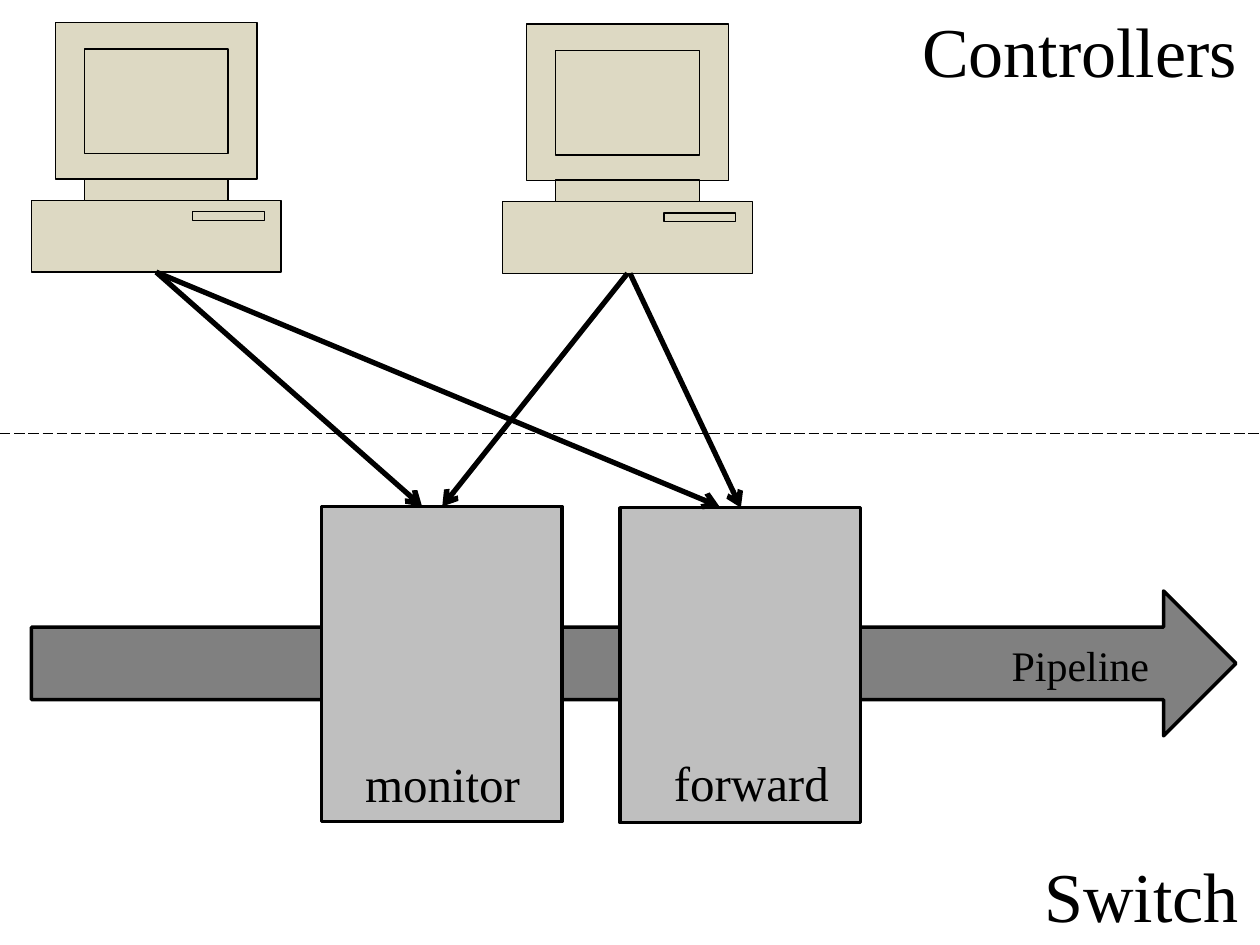
from dataclasses import dataclass
from lxml import etree
from pptx import Presentation
from pptx.dml.color import RGBColor
from pptx.enum.dml import MSO_LINE
from pptx.enum.shapes import MSO_CONNECTOR, MSO_SHAPE
from pptx.enum.text import MSO_AUTO_SIZE
from pptx.oxml.ns import qn
from pptx.util import Inches, Pt

RECT = MSO_SHAPE.RECTANGLE
ARROW = MSO_SHAPE.RIGHT_ARROW
STRAIGHT = MSO_CONNECTOR.STRAIGHT
DASH = MSO_LINE.LONG_DASH
FIT = MSO_AUTO_SIZE.SHAPE_TO_FIT_TEXT


@dataclass(frozen=True)
class Theme:
    ink: str = "000000"
    case: str = "DDD9C3"
    pipe: str = "808080"
    stage: str = "BFBFBF"
    font: str = "Times New Roman"
    title: int = 40
    label: int = 28
    small: int = 24
    thin: float = 0.75
    edge: float = 2
    bold: float = 3


THEME = Theme()


def color(code):
    return RGBColor.from_string(code)


def paint(shape, fill, width):
    shape.shadow.inherit = False
    shape.fill.solid()
    shape.fill.fore_color.rgb = color(fill)
    shape.line.color.rgb = color(THEME.ink)
    shape.line.width = Pt(width)


def add_box(slide, box, fill, width, kind=RECT):
    shape = slide.shapes.add_shape(kind, *map(Inches, box))
    paint(shape, fill, width)
    return shape


def add_text(slide, text, box, size=THEME.label, font=THEME.font, ink=THEME.ink):
    frame = slide.shapes.add_textbox(*map(Inches, box)).text_frame
    frame.word_wrap = False
    frame.auto_size = FIT
    run = frame.paragraphs[0].add_run()
    run.text = text
    run.font.size = Pt(size)
    run.font.name = font
    run.font.color.rgb = color(ink)


def add_line(slide, start, end, width, dash=None, head=None):
    line = slide.shapes.add_connector(STRAIGHT, *map(Inches, start + end))
    line.line.color.rgb = color(THEME.ink)
    line.line.width = Pt(width)
    if dash:
        line.line.dash_style = dash
    props = line._element.spPr
    if head:
        tail = etree.SubElement(props.find(qn("a:ln")), qn("a:tailEnd"))
        tail.set("type", head)
    etree.SubElement(props, qn("a:effectLst"))


def add_host(slide, left, top):
    outline = [
        (1.56, 1.41), (1.56, 1.24), (1.79, 1.24), (1.79, 0), (0.19, 0),
        (0.19, 1.24), (0.42, 1.24), (0.42, 1.41), (0, 1.41), (0, 1.98),
        (1.98, 1.98), (1.98, 1.41),
    ]
    points = [(Inches(left + x), Inches(top + y)) for x, y in outline]
    pen = slide.shapes.build_freeform(*points[0])
    pen.add_line_segments(points[1:], close=True)
    paint(pen.convert_to_shape(), THEME.case, THEME.thin)
    neck = (0.42, 1.24, 1.14, 0.17)
    screen = (0.42, 0.21, 1.14, 0.83)
    slot = (1.28, 1.5, 0.57, 0.07)
    for x, y, wide, high in (neck, screen, slot):
        add_box(slide, (left + x, top + y, wide, high), THEME.case, THEME.thin)


def add_stage(slide, left, top):
    add_box(slide, (left, top, 1.91, 2.5), THEME.stage, THEME.edge)


def add_links(slide, links):
    for start, end in links:
        add_line(slide, start, end, THEME.bold, head="arrow")


def add_pipe(slide, left, top):
    add_box(slide, (left, top, 9.56, 1.15), THEME.pipe, THEME.edge, ARROW)


def build(slide):
    add_pipe(slide, 0.25, 4.69)
    for spot in ((0.25, 0.18), (3.99, 0.19)):
        add_host(slide, *spot)
    add_line(slide, (0, 3.44), (10, 3.44), THEME.thin, dash=DASH)
    add_links(slide, [((1.24, 2.16), (3.35, 4.02)), ((4.98, 2.17), (3.51, 4.02))])
    for spot in ((2.55, 4.02), (4.92, 4.03)):
        add_stage(slide, *spot)
    add_links(slide, [((5, 2.17), (5.88, 4.03)), ((1.24, 2.16), (5.71, 4.02))])
    for text, box, size in (
        ("Controllers", (7.22, 0.01, 2.73, 0.77), THEME.title),
        ("Switch", (8.19, 6.72, 1.76, 0.77), THEME.title),
        ("monitor", (2.8, 5.93, 1.44, 0.57), THEME.label),
        ("forward", (5.25, 5.92, 1.45, 0.57), THEME.label),
        ("Pipeline", (7.93, 5.03, 1.3, 0.5), THEME.small),
    ):
        add_text(slide, text, box, size=size)


deck = Presentation()
deck.slide_width = Inches(10)
deck.slide_height = Inches(7.5)
build(deck.slides.add_slide(deck.slide_layouts[6]))
deck.save("out.pptx")
